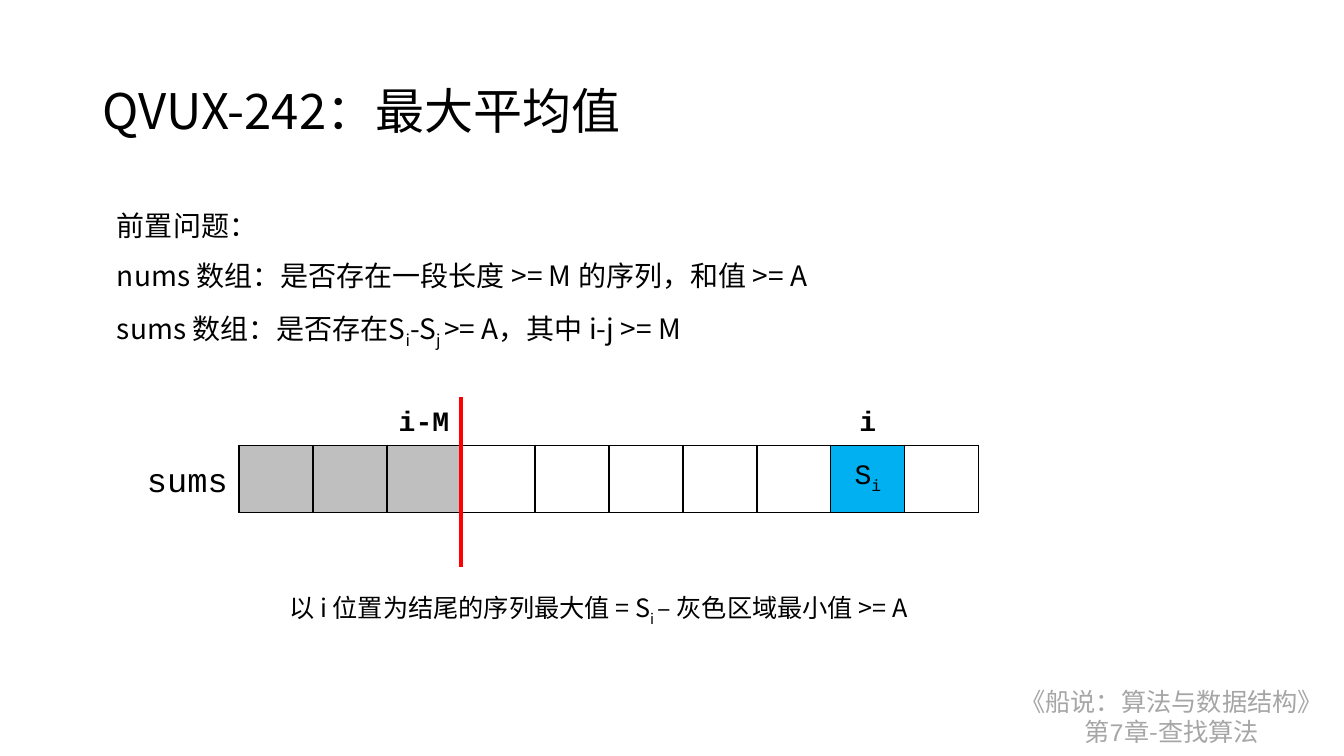
from dataclasses import dataclass

from lxml import etree
from pptx import Presentation, util as u
from pptx.dml.color import RGBColor
from pptx.enum import shapes, text
from pptx.oxml.ns import qn


@dataclass(frozen=True)
class Theme:
    sans: str = "Noto Sans CJK SC"
    mono: str = "Courier New"
    black: str = "000000"
    footer: str = "A6A6A6"
    gray: str = "BFBFBF"
    blue: str = "00B0F0"
    red: str = "FF0000"
    title_size: int = 35
    label_size: int = 24
    body_size: int = 20
    note_size: int = 18


@dataclass(frozen=True)
class Style:
    size: int
    font: str
    color: str
    bold: bool = False


@dataclass(frozen=True)
class Piece:
    words: str
    sub: bool = False
    font: str = ""


@dataclass(frozen=True)
class Box:
    """Left, top, width and height in percent of the slide."""
    left: float
    top: float
    width: float
    height: float


@dataclass(frozen=True)
class Block:
    box: Box
    style: Style
    lines: list[list[Piece]]
    align: text.PP_ALIGN = text.PP_ALIGN.LEFT
    spacing: float = 1.0
    wrap: bool = True
    anchor: text.MSO_ANCHOR = text.MSO_ANCHOR.TOP


THEME = Theme()
WIDTH, HEIGHT = u.Inches(13.33), u.Inches(7.5)
COLUMNS, GRAY_COLUMNS, I_COLUMN = 10, 3, 8
GRID = Box(17.78, 50, 55.06, 17.78)
BODY = Style(THEME.body_size, THEME.sans, THEME.black)
MARK = Style(THEME.body_size, THEME.mono, THEME.black, bold=True)
VALUE = Style(THEME.body_size, THEME.mono, THEME.black)

TITLE = Block(
    Box(6.9, 5.33, 86.27, 19.33),
    Style(THEME.title_size, THEME.sans, THEME.black),
    [[Piece("QVUX-242：最大平均值")]],
    spacing=0.9, anchor=text.MSO_ANCHOR.MIDDLE)
PROBLEM = Block(
    Box(7.95, 24.67, 56.56, 20.8), BODY,
    [[Piece("前置问题：")],
     [Piece("nums 数组：是否存在一段长度 >= M 的序列，和值 >= A")],
     [Piece("sums 数组：是否存在S"), Piece("i", sub=True), Piece("-S"),
      Piece("j ", sub=True), Piece(">= A，其中 i-j >= M")]],
    spacing=1.5)
FREE_TEXTS = [
    Block(Box(74.79, 90.13, 24.76, 9.47),
          Style(THEME.note_size, THEME.sans, THEME.footer),
          [[Piece("《船说：算法与数据结构》")],
           [Piece("第"), Piece("7", font=THEME.mono), Piece("章-查找算法")]],
          align=text.PP_ALIGN.CENTER, wrap=False),
    Block(Box(10.2, 60, 7.58, 6.67),
          Style(THEME.label_size, THEME.mono, THEME.black),
          [[Piece("sums")]], wrap=False),
    Block(Box(20.78, 77.73, 49.06, 5.33),
          Style(THEME.note_size, THEME.sans, THEME.black),
          [[Piece("以 i 位置为结尾的序列最大值 = S"), Piece("i ", sub=True),
            Piece("– 灰色区域最小值 >= A")]]),
]


def across(percent: float) -> int:
    return round(WIDTH * percent / 100)


def down(percent: float) -> int:
    return round(HEIGHT * percent / 100)


def place(box: Box) -> tuple[int, int, int, int]:
    return across(box.left), down(box.top), across(box.width), down(box.height)


def add_pieces(paragraph, pieces: list[Piece], style: Style) -> None:
    for piece in pieces:
        run = paragraph.add_run()
        run.text = piece.words
        font = run.font
        font.size, font.bold = u.Pt(style.size), style.bold
        font.color.rgb = RGBColor.from_string(style.color)
        font.name = piece.font or style.font
        properties = font._element
        etree.SubElement(properties, qn("a:ea"), typeface=font.name)
        if piece.sub:
            properties.set("baseline", "-25000")


def fill_block(shape, block: Block) -> None:
    shape.left, shape.top, shape.width, shape.height = place(block.box)
    frame = shape.text_frame
    frame.auto_size = text.MSO_AUTO_SIZE.NONE
    frame.word_wrap = block.wrap
    frame.vertical_anchor = block.anchor
    for number, pieces in enumerate(block.lines):
        paragraph = frame.add_paragraph() if number else frame.paragraphs[0]
        paragraph.alignment = block.align
        paragraph.line_spacing = block.spacing
        paragraph.space_before = u.Pt(0)
        if shape.is_placeholder:
            properties = paragraph._p.get_or_add_pPr()
            properties.set("marL", "0")
            properties.set("indent", "0")
            etree.SubElement(properties, qn("a:buNone"))
        add_pieces(paragraph, pieces, block.style)


def add_borders(cell, sides: str) -> None:
    properties = cell._tc.get_or_add_tcPr()
    for side in sides:
        line = etree.SubElement(properties, qn(f"a:ln{side}"), w=str(u.Pt(1)))
        fill = etree.SubElement(line, qn("a:solidFill"))
        etree.SubElement(fill, qn("a:srgbClr"), val=THEME.black)


def fill_cell(cell, pieces: list[Piece], style: Style,
              anchor: text.MSO_ANCHOR) -> None:
    cell.vertical_anchor = anchor
    paragraph = cell.text_frame.paragraphs[0]
    paragraph.alignment = text.PP_ALIGN.CENTER
    add_pieces(paragraph, pieces, style)


def add_sums_table(slide) -> None:
    table = slide.shapes.add_table(2, COLUMNS, *place(GRID)).table
    table.first_row = table.horz_banding = False
    fills = {column: THEME.gray for column in range(GRAY_COLUMNS)}
    fills[I_COLUMN] = THEME.blue
    for column in range(COLUMNS):
        index_cell, sum_cell = table.cell(0, column), table.cell(1, column)
        add_borders(index_cell, "B")
        add_borders(sum_cell, "LRTB")
        index_cell.fill.background()
        if column in fills:
            sum_cell.fill.solid()
            sum_cell.fill.fore_color.rgb = RGBColor.from_string(fills[column])
        else:
            sum_cell.fill.background()
    for column, index in ((GRAY_COLUMNS - 1, "i-M"), (I_COLUMN, "i")):
        fill_cell(table.cell(0, column), [Piece(index)], MARK,
                  text.MSO_ANCHOR.BOTTOM)
    fill_cell(table.cell(1, I_COLUMN), [Piece("S"), Piece("i", sub=True)],
              VALUE, text.MSO_ANCHOR.MIDDLE)


def add_boundary(slide) -> None:
    x = across(GRID.left + GRID.width * GRAY_COLUMNS / COLUMNS)
    boundary = slide.shapes.add_connector(
        shapes.MSO_CONNECTOR.STRAIGHT, x, down(52.53), x, down(75.07))
    boundary.line.color.rgb = RGBColor.from_string(THEME.red)
    boundary.line.width = u.Pt(3)
    etree.SubElement(boundary._element.spPr, qn("a:effectLst"))


def main() -> None:
    deck = Presentation()
    deck.slide_width, deck.slide_height = WIDTH, HEIGHT
    slide = deck.slides.add_slide(deck.slide_layouts[1])

    # Title and preliminary problem
    fill_block(slide.shapes.title, TITLE)
    fill_block(slide.placeholders[1], PROBLEM)

    # Prefix sums with the edge of the gray area
    add_sums_table(slide)
    add_boundary(slide)

    # Chapter footer, array label and conclusion
    for block in FREE_TEXTS:
        fill_block(slide.shapes.add_textbox(*place(block.box)), block)

    deck.save("out.pptx")


if __name__ == "__main__":
    main()
